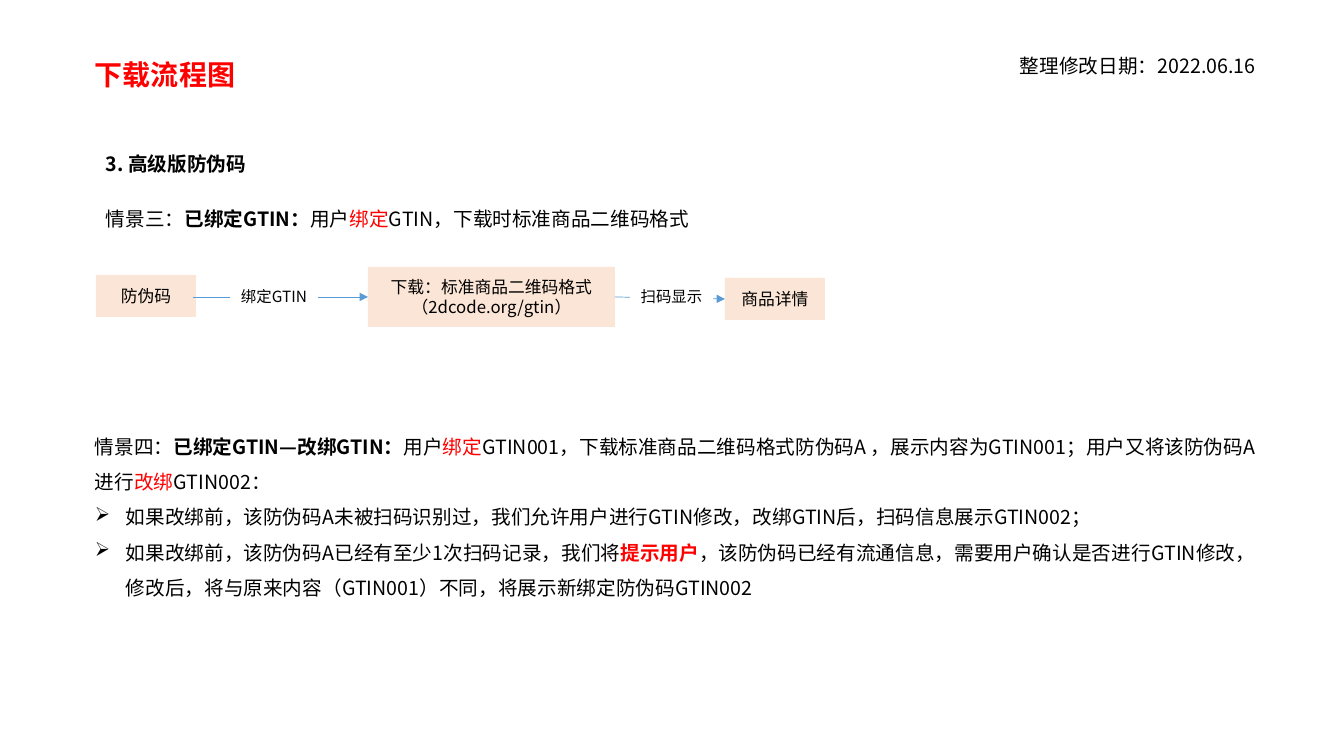
from lxml.etree import SubElement
from pptx import Presentation
from pptx.dml.color import RGBColor
from pptx.enum.shapes import MSO_CONNECTOR, MSO_SHAPE
from pptx.enum.text import MSO_ANCHOR, MSO_AUTO_SIZE, PP_ALIGN
from pptx.oxml.ns import qn
from pptx.util import Emu, Pt

FONT = "Noto Sans CJK SC"
COLORS = {"black": "000000", "red": "FF0000", "peach": "FBE5D6",
          "white": "FFFFFF", "blue": "5B9BD5"}


def px(n):
    return Emu(round(n * 914400 / 100.8))


def rgb(name):
    return RGBColor.from_string(COLORS[name])


def write(par, parts, size, color="black", bold=False, align=None,
          lead=None, bullet=None):
    """Fill a paragraph; a part is plain text or (text, bold, color)."""
    if bullet:
        props = par._p.get_or_add_pPr()
        props.set("marL", str(px(31)))
        props.set("indent", str(-px(31)))
        SubElement(props, qn("a:buChar"), char=bullet)
    par.font.name = FONT
    par.font.size = Pt(size)
    par.font.bold = bold
    par.font.color.rgb = rgb(color)
    SubElement(par.font._element, qn("a:ea"), typeface=FONT)
    if align is not None:
        par.alignment = align
    if lead:
        par.line_spacing = lead
    for part in parts:
        run = par.add_run()
        if isinstance(part, str):
            run.text = part
        else:
            run.text, run.font.bold, tint = part
            run.font.color.rgb = rgb(tint)


def add_text(slide, box, lines, size, wrap=True, **style):
    """Add a text box; a line is (parts, bullet)."""
    frame = slide.shapes.add_textbox(*map(px, box)).text_frame
    frame.word_wrap = wrap
    frame.auto_size = MSO_AUTO_SIZE.SHAPE_TO_FIT_TEXT
    for i, (parts, bullet) in enumerate(lines):
        par = frame.add_paragraph() if i else frame.paragraphs[0]
        write(par, parts, size, bullet=bullet, **style)


def add_rect(slide, box, lines, size, fill):
    rect = slide.shapes.add_shape(MSO_SHAPE.RECTANGLE, *map(px, box))
    rect.shadow.inherit = False
    rect.fill.solid()
    rect.fill.fore_color.rgb = rgb(fill)
    rect.line.fill.background()
    frame = rect.text_frame
    frame.word_wrap = True
    for i, line in enumerate(lines):
        par = frame.add_paragraph() if i else frame.paragraphs[0]
        write(par, [line], size, align=PP_ALIGN.CENTER)
    return rect


def add_step(slide, box, *lines):
    step = add_rect(slide, box, lines, 12, "peach")
    step.text_frame.vertical_anchor = MSO_ANCHOR.MIDDLE
    return step


def add_label(slide, box, text):
    frame = add_rect(slide, box, [text], 11, "white").text_frame
    frame.vertical_anchor = MSO_ANCHOR.TOP
    frame.word_wrap = False
    frame.auto_size = MSO_AUTO_SIZE.SHAPE_TO_FIT_TEXT


def add_arrow(slide, start, end):
    """Draw an arrow from a point or a step's right side to a step's left."""
    free = isinstance(start, tuple)
    x, y = map(px, start) if free else (0, 0)
    arrow = slide.shapes.add_connector(MSO_CONNECTOR.STRAIGHT, x, y, x, y)
    if not free:
        arrow.begin_connect(start, 3)
    arrow.end_connect(end, 1)
    arrow.line.color.rgb = rgb("blue")
    arrow.line.width = Pt(0.5)
    SubElement(arrow.line._get_or_add_ln(), qn("a:tailEnd"), type="triangle")
    SubElement(arrow._element.spPr, qn("a:effectLst"))


def main():
    deck = Presentation()
    deck.slide_width, deck.slide_height = px(1344), px(756)
    slide = deck.slides.add_slide(deck.slide_layouts[6])

    add_text(slide, (85, 53, 161, 44), [(["下载流程图"], None)], 20,
             wrap=False, color="red", bold=True)
    add_text(slide, (1010, 37, 302, 45),
             [(["整理修改日期：2022.06.16"], None)], 14, lead=1.5)
    add_text(slide, (96, 147, 162, 34), [(["3. 高级版防伪码"], None)], 14,
             wrap=False, bold=True)
    bind = ("绑定", False, "red")
    add_text(slide, (96, 190, 1154, 41), [
        (["情景三：", ("已绑定GTIN：", True, "black"), "用户", bind,
          "GTIN，下载时标准商品二维码格式"], None),
    ], 14, lead=1.5)

    code = (96, 275, 100, 42)
    add_step(slide, code, "防伪码")
    load = add_step(slide, (368, 267, 247, 60),
                    "下载：标准商品二维码格式", "（2dcode.org/gtin）")
    goods = add_step(slide, (725, 278, 100, 42), "商品详情")
    add_arrow(slide, (193, 297), load)
    add_arrow(slide, load, goods)
    add_label(slide, (230, 282, 88, 29), "绑定GTIN")
    add_label(slide, (630, 282, 83, 29), "扫码显示")

    add_text(slide, (85, 418, 1188, 184), [
        (["情景四：", ("已绑定GTIN—改绑GTIN：", True, "black"), "用户", bind,
          "GTIN001，下载标准商品二维码格式防伪码A ，展示内容为GTIN001；"
          "用户又将该防伪码A进行", ("改绑", False, "red"), "GTIN002："], None),
        (["如果改绑前，该防伪码A未被扫码识别过，我们允许用户进行GTIN修改，"
          "改绑GTIN后，扫码信息展示GTIN002；"], "➢"),
        (["如果改绑前，该防伪码A已经有至少1次扫码记录，我们将",
          ("提示用户", True, "red"),
          "，该防伪码已经有流通信息，需要用户确认是否进行GTIN修改，修改后，"
          "将与原来内容（GTIN001）不同，将展示新绑定防伪码GTIN002"], "➢"),
    ], 14, lead=1.5)
    deck.save("out.pptx")


if __name__ == "__main__":
    main()
